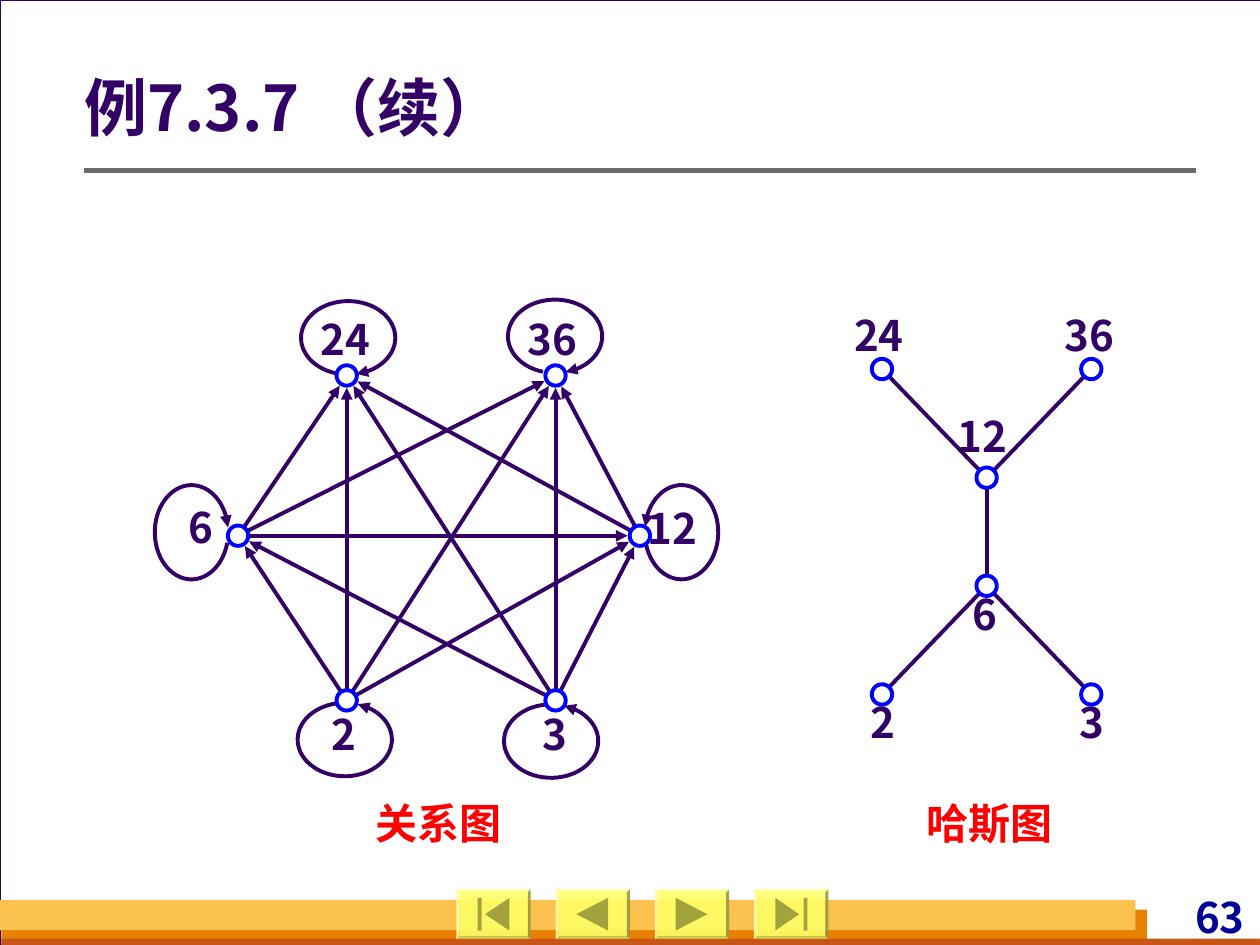
import math

from lxml import etree
from pptx import Presentation
from pptx import util as u
from pptx.dml.color import RGBColor
from pptx.enum import shapes, text
from pptx.oxml.ns import qn

PURPLE, BLUE, RED, WHITE = "330066", "0000FF", "FF0000", "FFFFFF"
NODE_SIZE = 0.41


def colour(code):
    return RGBColor.from_string(code)


class Canvas:
    """Holds the style and the current slide; all lengths are centimetres."""

    font = "Noto Sans CJK SC"
    stroke = 2.25

    def __init__(self, page):
        self.page = page

    def add_span(self, para, words, size, ink):
        span = para.add_run()
        span.text = words
        span.font.size = u.Pt(size)
        span.font.bold = True
        span.font.name = self.font
        span.font.color.rgb = colour(ink)
        east = etree.SubElement(span.font._element, qn("a:ea"))
        east.set("typeface", self.font)

    def paint(self, shape, fill=None, line=None, width=stroke):
        shape.shadow.inherit = False
        if fill:
            shape.fill.solid()
            shape.fill.fore_color.rgb = colour(fill)
        else:
            shape.fill.background()
        if line:
            shape.line.color.rgb = colour(line)
            shape.line.width = u.Pt(width)
        else:
            shape.line.fill.background()
        return shape

    def arrowhead(self, shape):
        etree.SubElement(shape.line._get_or_add_ln(), qn("a:tailEnd")).set("type", "triangle")

    def title(self, words, left, top, width, height):
        box = self.page.shapes.title
        box.left, box.top, box.width, box.height = map(u.Cm, (left, top, width, height))
        frame = box.text_frame
        frame.vertical_anchor = text.MSO_ANCHOR.MIDDLE
        frame.margin_left = 0
        para = frame.paragraphs[0]
        para.alignment = text.PP_ALIGN.LEFT
        para.line_spacing = 0.9
        self.add_span(para, words, 36, PURPLE)
        # Bring the title in front of the backdrop
        self.page.shapes._spTree.append(box._element)

    def label(self, words, left, top, width, height=1.27, ink=PURPLE):
        box = self.page.shapes.add_textbox(*map(u.Cm, (left, top, width, height)))
        box.text_frame.word_wrap = False
        self.add_span(box.text_frame.paragraphs[0], words, 24, ink)
        return box

    def shape(self, kind, left, top, width, height, fill, line=None, stroke=stroke):
        shape = self.page.shapes.add_shape(kind, *map(u.Cm, (left, top, width, height)))
        return self.paint(shape, fill, line, stroke)

    def line(self, start, end, ink=PURPLE, width=stroke, arrow=False):
        line = self.page.shapes.add_connector(
            shapes.MSO_CONNECTOR.STRAIGHT, *map(u.Cm, (*start, *end)))
        line.line.color.rgb = colour(ink)
        line.line.width = u.Pt(width)
        if arrow:
            self.arrowhead(line)
        etree.SubElement(line._element.spPr, qn("a:effectLst"))

    def outline(self, points, closed, **style):
        first, *rest = [(u.Cm(x), u.Cm(y)) for x, y in points]
        builder = self.page.shapes.build_freeform(*first)
        builder.add_line_segments(rest, close=closed)
        return self.paint(builder.convert_to_shape(), **style)

    def loop(self, x, y, rx, ry, start, end, steps=60):
        angles = [math.radians(start + (end - start) * i / steps) for i in range(steps + 1)]
        points = [(x + rx * math.cos(a), y + ry * math.sin(a)) for a in angles]
        self.arrowhead(self.outline(points, False, line=PURPLE))

    def edge(self, start, end, start_gap, end_gap, arrow):
        """Joins two node centres, stopping short by the given gaps."""
        dx, dy = end[0] - start[0], end[1] - start[1]
        length = math.hypot(dx, dy)
        a, b = start_gap / length, end_gap / length
        self.line((start[0] + a * dx, start[1] + a * dy),
                  (end[0] - b * dx, end[1] - b * dy), arrow=arrow)

    def node(self, x, y):
        self.shape(shapes.MSO_SHAPE.OVAL, x - NODE_SIZE / 2, y - NODE_SIZE / 2,
                   NODE_SIZE, NODE_SIZE, WHITE, BLUE)

    def graph(self, nodes, labels, edges, loops=(), end_gap=0.0, arrow=False):
        for start, end in edges:
            self.edge(nodes[start], nodes[end], 0.18, end_gap, arrow)
        for name, (left, top) in labels.items():
            self.label(name, left, top, 0.51 + 0.51 * len(name))
        for loop in loops:
            self.loop(*loop)
        for centre in nodes.values():
            self.node(*centre)

    def button(self, left, tip, base, bar=None):
        top, icon = 17.93, "A3A33D"
        face = self.shape(shapes.MSO_SHAPE.BEVEL, left, top, 1.5, 1, "FFFF66")
        face.adjustments[0] = 0.06
        solid = face.fill._xPr.find(qn("a:solidFill"))
        etree.SubElement(solid[0], qn("a:alpha")).set("val", "90000")
        self.outline([(left + tip, top + 0.5), (left + base, top + 0.17),
                      (left + base, top + 0.83)], True, fill=icon)
        if bar:
            self.shape(shapes.MSO_SHAPE.RECTANGLE, left + bar, top + 0.17, 0.08, 0.66, icon)


def main():
    deck = Presentation()
    deck.slide_width, deck.slide_height = u.Cm(25.4), u.Cm(19.05)
    page = deck.slides.add_slide(deck.slide_layouts[5])
    page.background.fill.solid()
    page.background.fill.fore_color.rgb = colour("D8DADA")
    canvas = Canvas(page)

    # Backdrop and footer bars
    block = shapes.MSO_SHAPE.RECTANGLE
    canvas.shape(block, 0, 0, 25.42, 19.05, WHITE, PURPLE, 0.75)
    canvas.shape(block, 0.03, 18.34, 23.09, 0.71, "E88000")
    canvas.shape(block, 0.03, 18.92, 25.37, 0.13, "C95616")
    canvas.shape(block, 0, 18.14, 22.89, 0.61, "FCC24F")

    # Page number
    number = canvas.label("63", 21.51, 17.98, 3.68, 1.02, "000099").text_frame
    number.word_wrap = True
    number.margin_left = number.margin_right = u.Cm(0.1)
    number.margin_top = number.margin_bottom = 0
    number.paragraphs[0].alignment = text.PP_ALIGN.RIGHT

    # Navigation buttons: tip, base and bar of each icon
    icons = [(0.58, 1.07, 0.43), (0.42, 1.06), (1.06, 0.42), (0.91, 0.43, 1.0)]
    for place, icon in enumerate(icons):
        canvas.button(9.2 + 2 * place, *icon)

    # Title and rule
    canvas.line((1.7, 3.43), (24.1, 3.43), "6B6B6B", 3)
    canvas.title("例7.3.7 （续）", 1.7, 1.42, 22.35, 1.63)

    # Captions
    for words, left in (("关系图", 7.32), ("哈斯图", 18.42)):
        canvas.label(words, left, 15.95, 3.05, ink=RED)

    # Hasse diagram
    canvas.graph(
        nodes={"24": (17.78, 7.44), "36": (22, 7.44), "12": (19.89, 9.63),
               "6": (19.89, 11.81), "2": (17.78, 14), "3": (22, 14)},
        labels={"24": (16.97, 6.12), "36": (21.21, 6.12), "12": (19.05, 8.15),
                "6": (19.35, 11.73), "2": (17.3, 13.92), "3": (21.51, 13.92)},
        edges=[("36", "12"), ("12", "6"), ("24", "12"), ("6", "2"), ("6", "3")])

    # Relation graph: an arrow from each number to its proper multiples
    names = ("2", "3", "6", "12", "24", "36")
    divides = [(a, b) for a in names for b in names if a != b and int(b) % int(a) == 0]
    canvas.graph(
        nodes={"24": (6.99, 7.57), "36": (11.2, 7.57), "12": (12.9, 10.8),
               "6": (4.8, 10.8), "2": (6.99, 14.12), "3": (11.2, 14.12)},
        labels={"24": (6.22, 6.2), "36": (10.39, 6.2), "12": (12.8, 10.01),
                "6": (3.56, 9.98), "2": (6.43, 14.15), "3": (10.69, 14.15)},
        edges=divides,
        loops=[(7.02, 6.81, 0.95, 0.74, 100, 440), (11.19, 6.78, 0.95, 0.74, 105, 437),
               (13.74, 10.73, 0.74, 0.95, 164, -173), (3.86, 10.73, 0.74, 0.95, 13, 354),
               (6.95, 14.91, 0.95, 0.74, 260, -74), (11.11, 14.94, 0.95, 0.74, 262, -74)],
        end_gap=0.25, arrow=True)

    deck.save("out.pptx")


if __name__ == "__main__":
    main()
